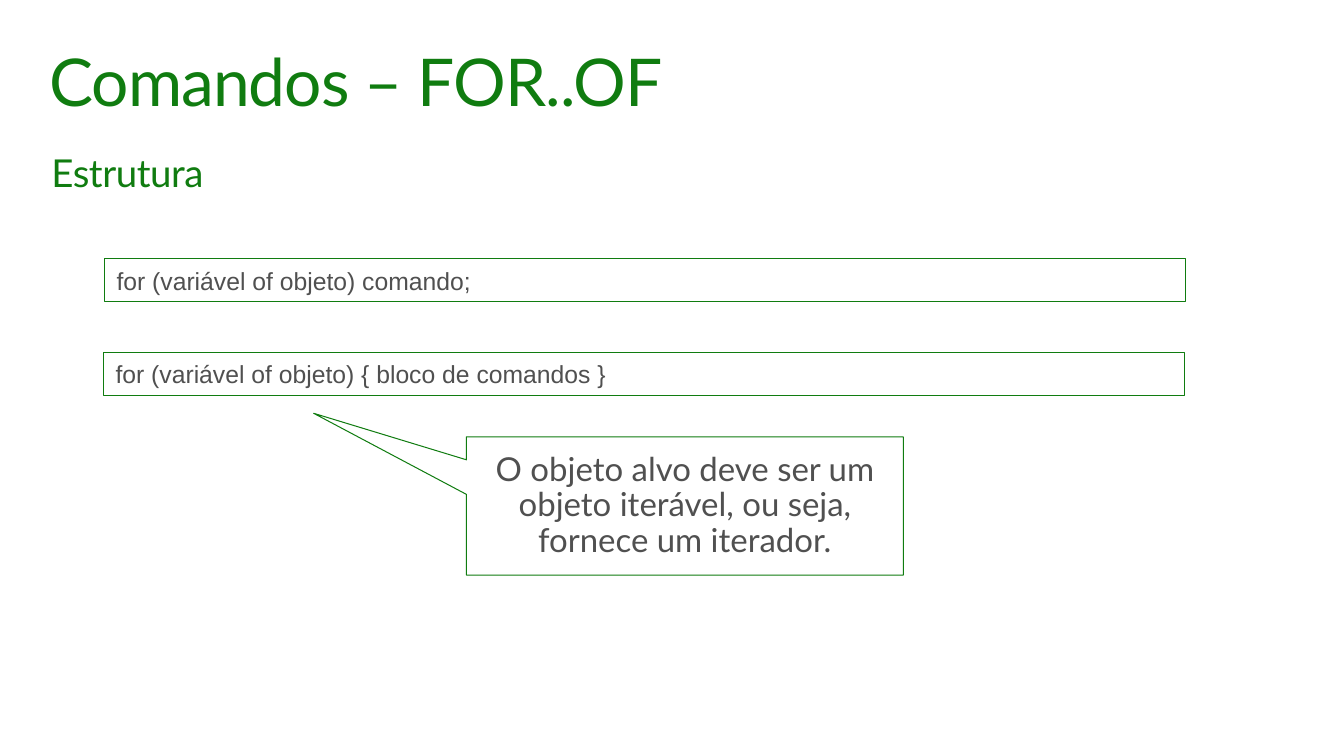
from pptx import Presentation
from pptx.dml.color import RGBColor
from pptx.enum.shapes import MSO_SHAPE
from pptx.enum.text import MSO_ANCHOR, MSO_AUTO_SIZE, PP_ALIGN
from pptx.oxml.ns import qn
from pptx.util import Pt
from lxml import etree

PX = 9144  # 100 px to the inch
GREEN = RGBColor(0x10, 0x7C, 0x10)
GRAY = RGBColor(0x50, 0x50, 0x50)
WHITE = RGBColor(0xFF, 0xFF, 0xFF)
RECT, CALL = MSO_SHAPE.RECTANGLE, MSO_SHAPE.RECTANGULAR_CALLOUT
TOP, MID = MSO_ANCHOR.TOP, MSO_ANCHOR.MIDDLE
LEFT, CENTER = PP_ALIGN.LEFT, PP_ALIGN.CENTER
FIXED = MSO_AUTO_SIZE.NONE


def write(shape, text, size, font, color, pad, anchor, align=LEFT, lead=0.9):
    frame = shape.text_frame
    frame.word_wrap = True
    frame.auto_size = FIXED
    frame.vertical_anchor = anchor
    frame.margin_left = frame.margin_right = pad[0] * PX
    frame.margin_top = frame.margin_bottom = pad[1] * PX
    para = frame.paragraphs[0]
    para.alignment = align
    para.line_spacing = lead
    para.space_before = Pt(0)
    run = para.add_run()
    run.text = text
    run.font.size = Pt(size)
    run.font.name = font
    run.font.color.rgb = color
    return para, run


def draw(kind, box, width):
    shape = slide.shapes.add_shape(kind, *[v * PX for v in box])
    shape.shadow.inherit = False
    shape.line.color.rgb = GREEN
    shape.line.width = Pt(width)
    return shape


deck = Presentation()
deck.slide_width, deck.slide_height = 1360 * PX, 765 * PX
slide = deck.slides.add_slide(deck.slide_layouts[1])

# Title and subtitle
title, body = slide.placeholders
heads = [
    (title, "Comandos – FOR..OF", 48, (10, 10), 40, 100, -70),
    (body, "Estrutura", 28, (12, 6), 150, 223, -30),
]
for shape, text, size, pad, top, high, gap in heads:
    shape.left, shape.top = 40 * PX, top * PX
    shape.width, shape.height = 1280 * PX, high * PX
    para, run = write(shape, text, size, "Lato", GREEN, pad, TOP)
    run.font._element.set("spc", str(gap))

# Subtitle without bullet or indent
props = body.text_frame.paragraphs[0]._p.get_or_add_pPr()
props.set("marL", "0")
props.set("indent", "0")
etree.SubElement(props, qn("a:buNone"))

# Syntax boxes
codes = [
    (106, 262, "for (variável of objeto) comando;"),
    (105, 357, "for (variável of objeto) { bloco de comandos }"),
]
for left, top, text in codes:
    shape = draw(RECT, (left, top, 1094, 43), 0.85)
    shape.fill.solid()
    shape.fill.fore_color.rgb = WHITE
    write(shape, text, 18, "Arial", GRAY, (12, 6), MID, lead=1.0)

# Callout
note = draw(CALL, (472, 442, 442, 140), 0.75)
note.fill.background()
note.adjustments[0] = -0.85
note.adjustments[1] = -0.67
write(note, "O objeto alvo deve ser um objeto iterável, ou seja, fornece um iterador.",
      24, "Lato", GRAY, (20, 16), MID, CENTER)

deck.save("out.pptx")
